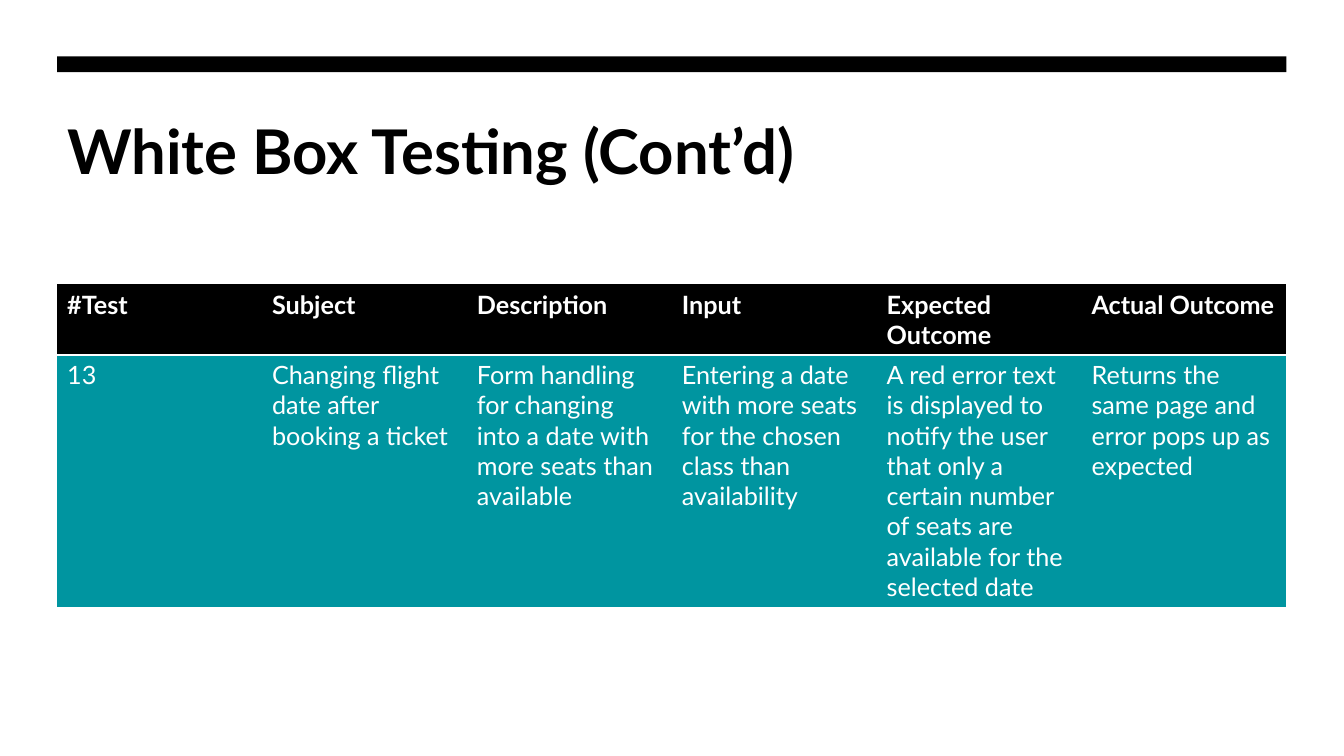
from lxml import etree
from pptx import Presentation
from pptx import util as u
from pptx.dml.color import RGBColor
from pptx.enum import shapes, text
from pptx.oxml.ns import qn

BLACK, WHITE, TEAL = "000000", "FFFFFF", "0095A0"
PLAIN_TABLE = "{2D5ABB26-0587-4C30-8999-92F81FD0307C}"
LEFT, WIDTH = 1.44, 30.98

HEADERS = ["#Test", "Subject", "Description", "Input", "Expected Outcome", "Actual Outcome"]
TEST_CASE = [
    "13",
    "Changing flight date after booking a ticket",
    "Form handling for changing into a date with more seats than available",
    "Entering a date with more seats for the chosen class than availability",
    "A red error text is displayed to notify the user that only a certain number "
    "of seats are available for the selected date",
    "Returns the same page and error pops up as expected",
]


def color(value):
    return RGBColor.from_string(value)


class SlideBuilder:
    font_name = "Lato"

    def __init__(self, presentation):
        self.slide = presentation.slides.add_slide(presentation.slide_layouts[5])

    def add_words(self, frame, words, size, ink, bold):
        paragraph = frame.paragraphs[0]
        paragraph.alignment = text.PP_ALIGN.LEFT
        run = paragraph.add_run()
        run.text = words
        run.font.name = self.font_name
        run.font.size = u.Pt(size)
        run.font.bold = bold
        run.font.color.rgb = color(ink)

    def bar(self, left, top, width, height, fill):
        shape = self.slide.shapes.add_shape(
            shapes.MSO_SHAPE.RECTANGLE, u.Cm(left), u.Cm(top), u.Cm(width), u.Cm(height))
        shape.shadow.inherit = False
        shape.fill.solid()
        shape.fill.fore_color.rgb = color(fill)
        shape.line.fill.background()

    def title(self, words, left, top, width, height):
        title = self.slide.shapes.title
        title.left, title.top = u.Cm(left), u.Cm(top)
        title.width, title.height = u.Cm(width), u.Cm(height)
        title.text_frame.vertical_anchor = text.MSO_ANCHOR.TOP
        title.text_frame.word_wrap = True
        self.add_words(title.text_frame, words, 44, BLACK, True)

    def bottom_border(self, cell, ink, points):
        line = etree.Element(qn("a:lnB"), w=str(u.Pt(points)))
        fill = etree.SubElement(line, qn("a:solidFill"))
        etree.SubElement(fill, qn("a:srgbClr"), val=ink)
        cell._tc.get_or_add_tcPr().insert(0, line)

    def table(self, rows, left, top, width, heights):
        frame = self.slide.shapes.add_table(
            len(rows), len(rows[0]), u.Cm(left), u.Cm(top), u.Cm(width), u.Cm(sum(heights)))
        table = frame.table
        table.horz_banding = False
        table._tbl.tblPr.find(qn("a:tableStyleId")).text = PLAIN_TABLE
        for row_index, (row, height) in enumerate(zip(rows, heights)):
            is_header = row_index == 0
            table.rows[row_index].height = u.Cm(height)
            for column_index, words in enumerate(row):
                cell = table.cell(row_index, column_index)
                cell.fill.solid()
                cell.fill.fore_color.rgb = color(BLACK if is_header else TEAL)
                self.add_words(cell.text_frame, words, 18, WHITE, is_header)
                if is_header:
                    self.bottom_border(cell, WHITE, 2)


def main():
    presentation = Presentation()
    presentation.slide_width = u.Cm(33.87)
    presentation.slide_height = u.Cm(19.05)
    builder = SlideBuilder(presentation)
    builder.bar(LEFT, 1.42, WIDTH, 0.4, BLACK)
    builder.title("White Box Testing (Cont’d)", LEFT, 2.72, WIDTH, 4.06)
    builder.table([HEADERS, TEST_CASE], LEFT, 7.16, WIDTH, [1.78, 6.35])
    presentation.save("out.pptx")


if __name__ == "__main__":
    main()
